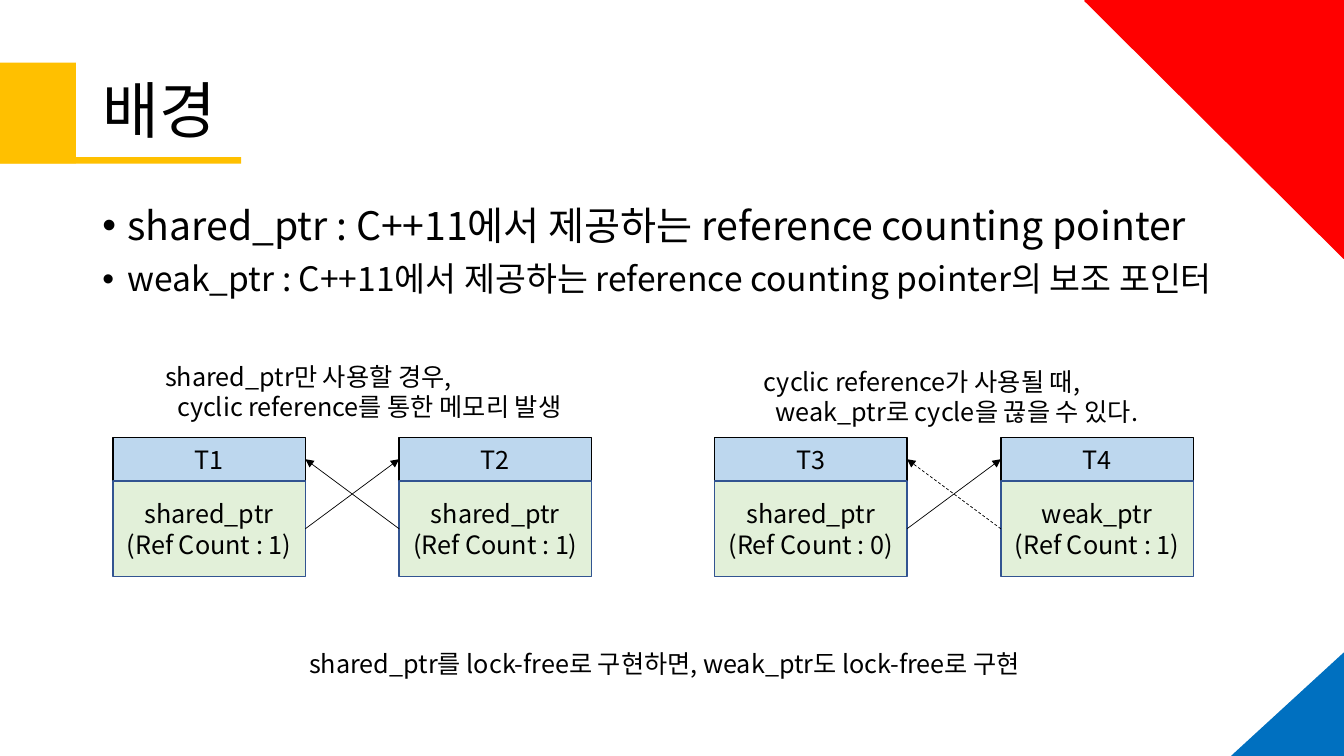
import pptx
import pptx.dml.color
import pptx.enum.dml
import pptx.enum.shapes
import pptx.enum.text
import pptx.oxml.ns
import pptx.util
from lxml import etree

Pt = pptx.util.Pt
qn = pptx.oxml.ns.qn
SHAPE = pptx.enum.shapes.MSO_SHAPE
ALIGN = pptx.enum.text.PP_ALIGN
ANCHOR = pptx.enum.text.MSO_ANCHOR

FONT = "Noto Sans CJK KR"
COLORS = {
    "text": "000000", "header": "BDD7EE", "body": "E2F0D9", "body_line": "325491",
    "yellow": "FFC000", "blue": "0070C0", "red": "FF0000",
}
TITLE = "배경"
BULLETS = [
    ("shared_ptr : C++11에서 제공하는 reference counting pointer", 28),
    ("weak_ptr : C++11에서 제공하는 reference counting pointer의 보조 포인터", 24),
]
DIAGRAMS = [
    {"left": 80.6, "dashed_back": False,
     "nodes": [("T1", "shared_ptr", 1), ("T2", "shared_ptr", 1)]},
    {"left": 510.4, "dashed_back": True,
     "nodes": [("T3", "shared_ptr", 0), ("T4", "weak_ptr", 1)]},
]
CAPTIONS = [
    (74.9, 254.2, ["shared_ptr만 사용할 경우,", "cyclic reference를 통한 메모리 발생"]),
    (502.6, 257.8, ["cyclic reference가 사용될 때,", "weak_ptr로 cycle을 끊을 수 있다."]),
]
CONCLUSION = "shared_ptr를 lock-free로 구현하면, weak_ptr도 lock-free로 구현"

NODE_W, NODE_PITCH = 137.5, 204.5
HEADER_TOP, HEADER_H, BODY_H = 312.5, 31, 68.4
BODY_TOP = HEADER_TOP + HEADER_H
HEADER_MID = HEADER_TOP + HEADER_H / 2
BODY_MID = BODY_TOP + BODY_H / 2


def rgb(name):
    return pptx.dml.color.RGBColor.from_string(COLORS[name])


def indent(p, left, first=0):
    pPr = p._p.get_or_add_pPr()
    pPr.set("marL", str(Pt(left)))
    pPr.set("indent", str(Pt(first)))
    return pPr


def style(p, size, align=ALIGN.LEFT):
    p.alignment = align
    for r in p.runs:
        r.font.size = Pt(size)
        r.font.name = FONT
        r.font.color.rgb = rgb("text")
        ea = etree.Element(qn("a:ea"), typeface=FONT)
        r.font._element.find(qn("a:latin")).addnext(ea)


def add_box(shapes, kind, box, fill, line=None, text=""):
    s = shapes.add_shape(kind, *map(Pt, box))
    s.shadow.inherit = False
    s.fill.solid()
    s.fill.fore_color.rgb = rgb(fill)
    if line:
        s.line.color.rgb = rgb(line)
        s.line.width = Pt(1)
    else:
        s.line.fill.background()
    if text:
        tf = s.text_frame
        tf.text = text
        tf.vertical_anchor = ANCHOR.MIDDLE
        for p in tf.paragraphs:
            style(p, 18, ALIGN.CENTER)
    return s


def add_arrow(shapes, x1, x2, dashed):
    c = shapes.add_connector(pptx.enum.shapes.MSO_CONNECTOR.STRAIGHT,
                             Pt(x1), Pt(BODY_MID), Pt(x2), Pt(HEADER_MID))
    c.line.color.rgb = rgb("text")
    c.line.width = Pt(0.5)
    if dashed:
        c.line.dash_style = pptx.enum.dml.MSO_LINE.DASH
    spPr = c._element.spPr
    etree.SubElement(spPr.find(qn("a:ln")), qn("a:tailEnd"), type="triangle")
    etree.SubElement(spPr, qn("a:effectLst"))


def add_text(shapes, box, lines):
    tf = shapes.add_textbox(*map(Pt, box)).text_frame
    tf.word_wrap = True
    tf.text = "\n".join(lines)
    return tf.paragraphs


def add_diagram(slide, diagram):
    shapes = slide.shapes.add_group_shape().shapes
    lefts = [diagram["left"] + i * NODE_PITCH for i in range(2)]
    for x, (name, pointer, count) in zip(lefts, diagram["nodes"]):
        add_box(shapes, SHAPE.RECTANGLE, (x, HEADER_TOP, NODE_W, HEADER_H),
                "header", "text", name)
        add_box(shapes, SHAPE.RECTANGLE, (x, BODY_TOP, NODE_W, BODY_H),
                "body", "body_line", f"{pointer}\n(Ref Count : {count})")
    inner_left, inner_right = lefts[0] + NODE_W, lefts[1]
    add_arrow(shapes, inner_left, inner_right, False)
    add_arrow(shapes, inner_right, inner_left, diagram["dashed_back"])


def main():
    prs = pptx.Presentation()
    prs.slide_width, prs.slide_height = Pt(960), Pt(540)
    slide = prs.slides.add_slide(prs.slide_layouts[5])
    shapes = slide.shapes

    title = shapes.title
    title.left, title.top, title.width, title.height = map(Pt, (66, 28.8, 828, 104.4))
    tf = title.text_frame
    tf.text = TITLE
    tf.vertical_anchor = ANCHOR.MIDDLE
    tf.paragraphs[0].line_spacing = 0.9
    style(tf.paragraphs[0], 44)

    paragraphs = add_text(shapes, (66, 144, 844.6, 342.7), [t for t, _ in BULLETS])
    for i, (p, (_, size)) in enumerate(zip(paragraphs, BULLETS)):
        pPr = indent(p, 18, -18)
        etree.SubElement(pPr, qn("a:buFont"), typeface="Arial")
        etree.SubElement(pPr, qn("a:buChar"), char="•")
        p.line_spacing = 0.9
        p.space_before = Pt(10 if i else 0)
        style(p, size)

    for diagram in DIAGRAMS:
        add_diagram(slide, diagram)

    marker = shapes.add_group_shape().shapes
    for box in [(0, 44.8, 54.3, 72), (0, 112.3, 172.3, 4.5)]:
        add_box(marker, SHAPE.RECTANGLE, box, "yellow")

    for box, color, rotation in [((880, 466.6, 80, 73.4), "blue", 0),
                                 ((775.5, 0, 184, 185), "red", 270)]:
        corner = add_box(shapes, SHAPE.ISOSCELES_TRIANGLE, box, color, color)
        corner.adjustments[0] = 1
        corner.rotation = rotation

    for x, y, lines in CAPTIONS:
        for p, left in zip(add_text(shapes, (x, y, 354.2, 72.7), lines), (36, 44.5)):
            indent(p, left)
            style(p, 18)

    p = add_text(shapes, (172.3, 459.4, 568.8, 51.1), [CONCLUSION])[0]
    indent(p, 36)
    style(p, 18, ALIGN.CENTER)

    prs.save("out.pptx")


if __name__ == "__main__":
    main()
